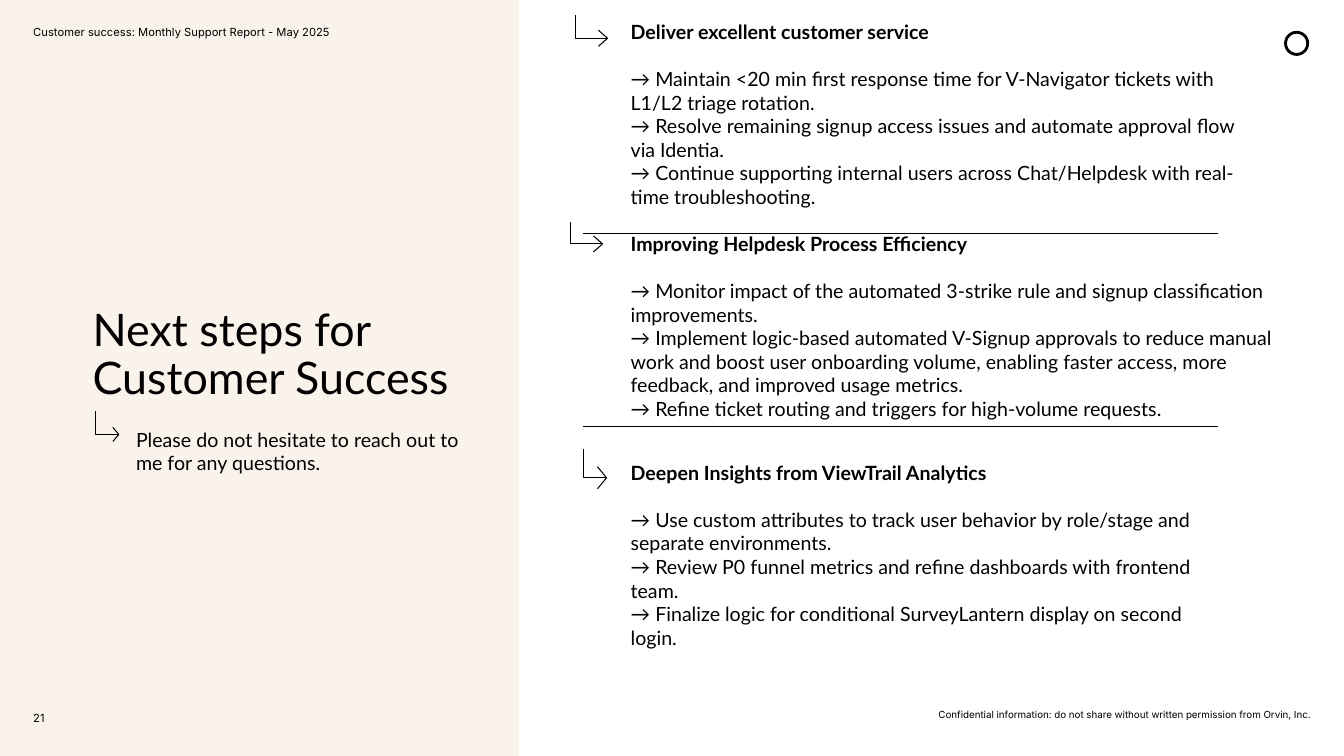
from dataclasses import dataclass

import pptx
import pptx.dml.color
import pptx.enum.shapes
import pptx.enum.text
import pptx.oxml.ns
import pptx.shapes.autoshape
import pptx.slide
import pptx.util
from lxml import etree

Inches = pptx.util.Inches
Align = pptx.enum.text.PP_ALIGN
Anchor = pptx.enum.text.MSO_ANCHOR
Color = pptx.dml.color.RGBColor


@dataclass(frozen=True)
class Theme:
    ink: Color = Color(0x00, 0x00, 0x00)
    panel: Color = Color(0xFA, 0xF3, 0xEB)
    heading_font: str = "Lato"
    small_font: str = "Inter"
    title: float = 32
    body: float = 14
    label: float = 8
    footer: float = 7
    heading_gap: float = 16.8
    rule: float = 0.75


@dataclass(frozen=True)
class Arrow:
    left: float
    top: float
    tip: float
    bottom: float
    head_width: float
    head_half: float


@dataclass(frozen=True)
class Section:
    box: tuple[float, float, float, float]
    anchor: Anchor
    heading: str
    steps: tuple[str, ...]


THEME = Theme()

ARROWS = (
    Arrow(0.95, 4.08, 1.18, 4.31, 0.06, 0.07),
    Arrow(5.71, 0.15, 6.03, 0.38, 0.09, 0.08),
    Arrow(5.66, 2.2, 5.98, 2.42, 0.09, 0.08),
    Arrow(5.79, 4.45, 6.02, 4.74, 0.09, 0.11),
)

DIVIDERS = (2.32, 4.23)

SECTIONS = (
    Section((6.26, 0.2, 6.18, 1.24), Anchor.TOP, "Deliver excellent customer service", (
        "Maintain <20 min first response time for V-Navigator tickets with L1/L2 triage rotation.",
        "Resolve remaining signup access issues and automate approval flow via Identia.",
        "Continue supporting internal users across Chat/Helpdesk with real-time troubleshooting.",
    )),
    Section((6.26, 2.3, 6.5, 1.41), Anchor.TOP, "Improving Helpdesk Process Efficiency", (
        "Monitor impact of the automated 3-strike rule and signup classification improvements.",
        "Implement logic-based automated V-Signup approvals to reduce manual work and boost "
        "user onboarding volume, enabling faster access, more feedback, and improved usage metrics.",
        "Refine ticket routing and triggers for high-volume requests.",
    )),
    Section((6.26, 4.69, 5.88, 1.63), Anchor.MIDDLE, "Deepen Insights from ViewTrail Analytics", (
        "Use custom attributes to track user behavior by role/stage and separate environments.",
        "Review P0 funnel metrics and refine dashboards with frontend team.",
        "Finalize logic for conditional SurveyLantern display on second login.",
    )),
)


def add_text(s: pptx.slide.Slide, box: tuple[float, float, float, float], *lines: str,
             size: float = THEME.body, font: str = THEME.heading_font,
             align: Align = Align.LEFT, anchor: Anchor = Anchor.TOP,
             spacing: float = 1.0, heading: bool = False) -> None:
    tf = s.shapes.add_textbox(*map(Inches, box)).text_frame
    tf.word_wrap = True
    tf.vertical_anchor = anchor
    tf.margin_left = tf.margin_right = tf.margin_top = tf.margin_bottom = 0
    for i, line in enumerate(lines):
        p = tf.paragraphs[0] if i == 0 else tf.add_paragraph()
        p.alignment = align
        p.line_spacing = spacing
        is_heading = heading and i == 0
        if is_heading:
            p.space_after = pptx.util.Pt(THEME.heading_gap)
        r = p.add_run()
        r.text = line
        r.font.name = font
        r.font.size = pptx.util.Pt(size)
        r.font.bold = is_heading
        r.font.color.rgb = THEME.ink


def style_line(sp: pptx.shapes.autoshape.Shape, width: float = THEME.rule) -> None:
    sp.shadow.inherit = False
    sp.fill.background()
    sp.line.color.rgb = THEME.ink
    sp.line.width = pptx.util.Pt(width)


def add_polyline(s: pptx.slide.Slide, *points: tuple[float, float]) -> None:
    start, *rest = [(Inches(x), Inches(y)) for x, y in points]
    builder = s.shapes.build_freeform(*start)
    builder.add_line_segments(rest, close=False)
    style_line(builder.convert_to_shape())


def add_arrow(s: pptx.slide.Slide, a: Arrow) -> None:
    add_polyline(s, (a.left, a.top), (a.left, a.bottom), (a.tip, a.bottom))
    back = a.tip - a.head_width
    add_polyline(s, (back, a.bottom - a.head_half), (a.tip, a.bottom),
                 (back, a.bottom + a.head_half))


def add_divider(s: pptx.slide.Slide, y: float) -> None:
    line = s.shapes.add_connector(pptx.enum.shapes.MSO_CONNECTOR.STRAIGHT,
                                  Inches(5.79), Inches(y), Inches(12.09), Inches(y))
    line.line.color.rgb = THEME.ink
    line.line.width = pptx.util.Pt(THEME.rule)
    etree.SubElement(line._element.spPr, pptx.oxml.ns.qn("a:effectLst"))


def add_panel(s: pptx.slide.Slide) -> None:
    sp = s.shapes.add_shape(pptx.enum.shapes.MSO_SHAPE.RECTANGLE,
                            0, 0, Inches(5.15), Inches(7.5))
    sp.shadow.inherit = False
    sp.fill.solid()
    sp.fill.fore_color.rgb = THEME.panel
    sp.line.fill.background()


def add_emblem(s: pptx.slide.Slide) -> None:
    sp = s.shapes.add_shape(pptx.enum.shapes.MSO_SHAPE.OVAL, Inches(12.76), Inches(0.32),
                            Inches(0.22), Inches(0.22))
    style_line(sp, 2)


def main() -> None:
    prs = pptx.Presentation()
    prs.slide_width, prs.slide_height = Inches(13.34), Inches(7.5)
    s = prs.slides.add_slide(prs.slide_layouts[6])

    add_panel(s)
    add_emblem(s)
    add_text(s, (7.57, 7.03, 5.44, 0.12),
             "Confidential information: do not share without written permission from Orvin, Inc.",
             size=THEME.footer, font=THEME.small_font, align=Align.RIGHT, anchor=Anchor.MIDDLE)
    add_text(s, (0.33, 7.01, 0.33, 0.23), "21",
             size=THEME.label, font=THEME.small_font, anchor=Anchor.MIDDLE)
    add_text(s, (0.33, 0.2, 4.82, 0.23), "Customer success: Monthly Support Report - May 2025",
             size=THEME.label, font=THEME.small_font, anchor=Anchor.MIDDLE)
    add_text(s, (0.92, 2.19, 3.77, 1.82), "Next steps for Customer Success",
             size=THEME.title, anchor=Anchor.BOTTOM, spacing=0.9)
    add_text(s, (1.35, 4.24, 3.35, 0.71),
             "Please do not hesitate to reach out to me for any questions.")

    for arrow in ARROWS:
        add_arrow(s, arrow)
    for y in DIVIDERS:
        add_divider(s, y)
    for section in SECTIONS:
        add_text(s, section.box, section.heading, *(f"→ {step}" for step in section.steps),
                 anchor=section.anchor, heading=True)

    prs.save("out.pptx")


if __name__ == "__main__":
    main()
